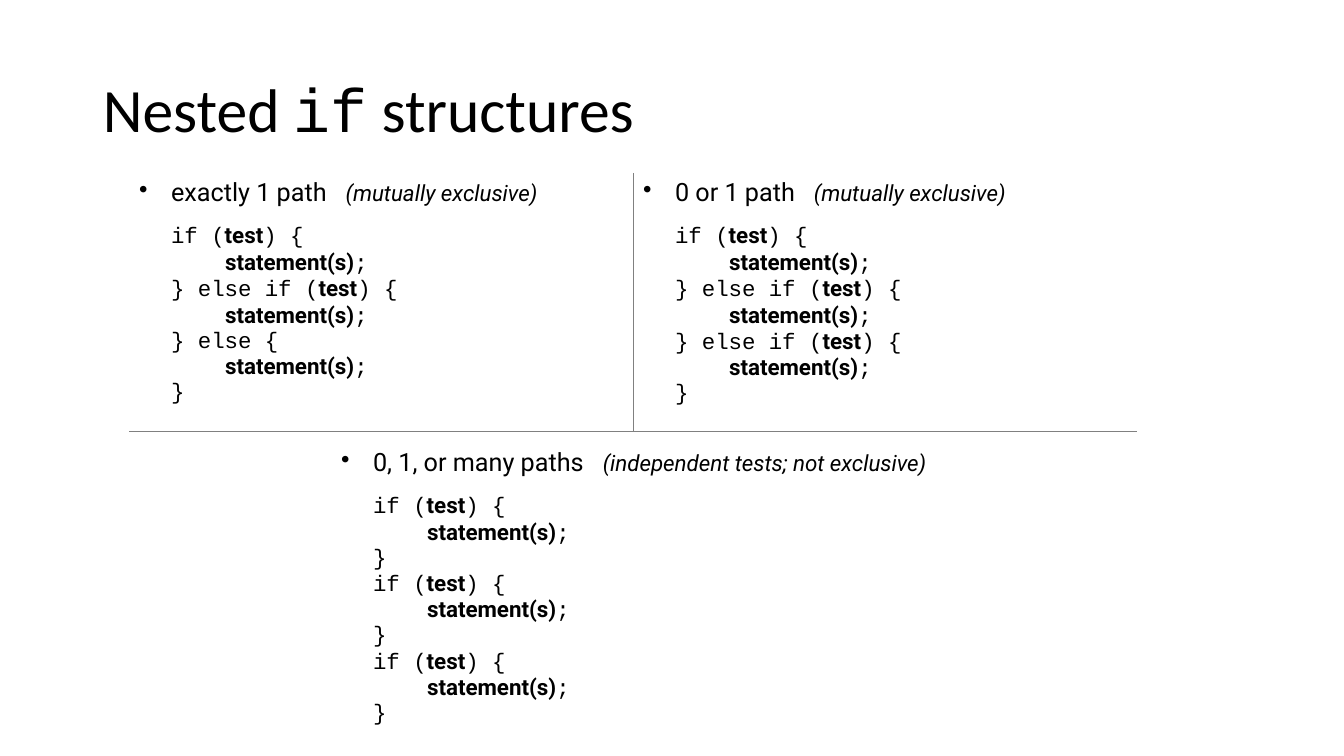
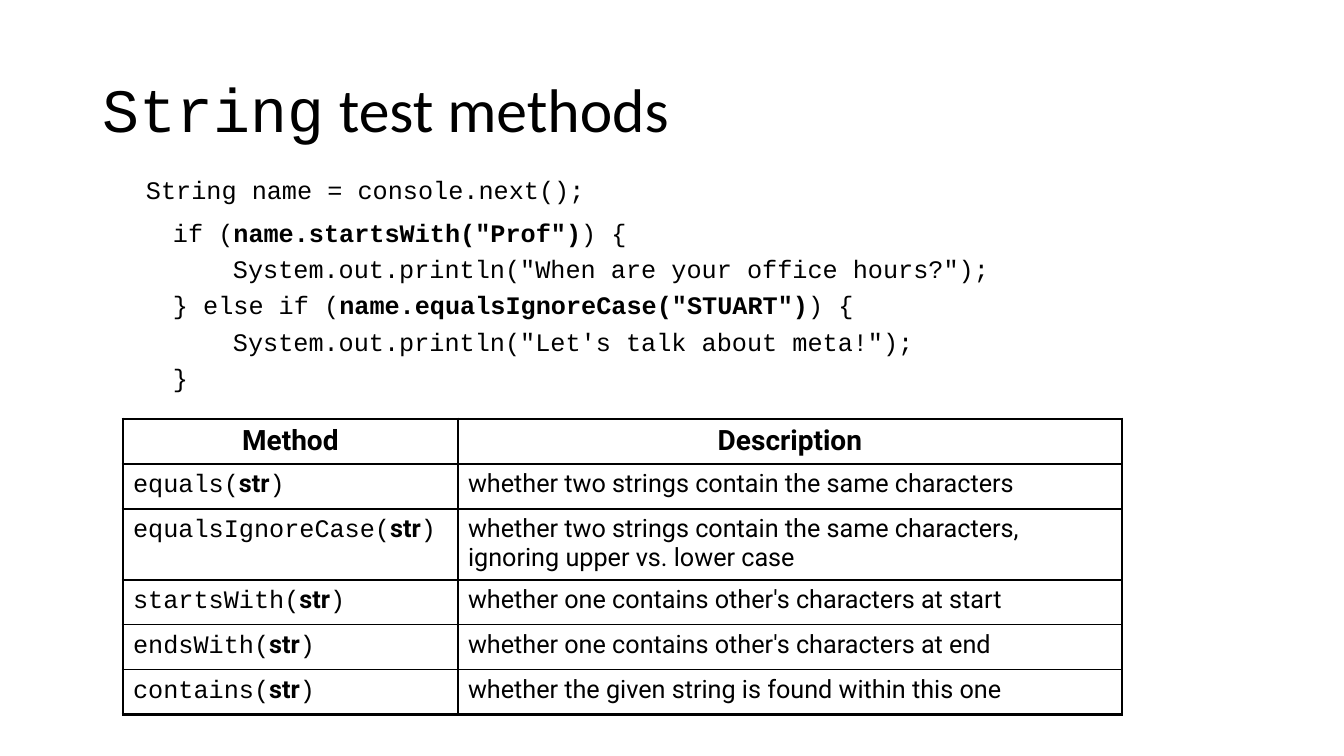
from dataclasses import dataclass
from typing import Optional

import pptx
import pptx.dml.color
import pptx.enum.text
import pptx.oxml
import pptx.oxml.ns
import pptx.util

PIXELS_PER_INCH = 100.8
COLOURS = {"paper": "FFFFFF", "ink": "000000", "rule": "808080"}
BODY, CODE, TITLE = "Roboto", "Courier New", "Calibri"
PLAIN_TABLE = "{2D5ABB26-0587-4C30-8999-92F81FD0307C}"
LEFT = pptx.enum.text.PP_ALIGN.LEFT
CENTER = pptx.enum.text.PP_ALIGN.CENTER
TOP = pptx.enum.text.MSO_ANCHOR.TOP
MIDDLE = pptx.enum.text.MSO_ANCHOR.MIDDLE


@dataclass(frozen=True)
class Span:
    text: str
    font: str = CODE
    size: int = 16
    bold: bool = False
    italic: bool = False
    tracking: float = 0


@dataclass(frozen=True)
class Para:
    spans: tuple[Span, ...]
    left: int = 0
    bullet_hang: int = 0
    before: float = 0
    spacing: float = 1.0
    align: pptx.enum.text.PP_ALIGN = LEFT


@dataclass(frozen=True)
class Frame:
    left: int
    top: int
    width: int
    height: int


@dataclass(frozen=True)
class Branch:
    heading: str
    note: str
    lines: tuple[str, ...]
    left: int
    row: int
    column: int
    top_inset: int
    sides: tuple[str, ...]


@dataclass(frozen=True)
class Method:
    name: str
    description: str


def emu(pixels: float) -> pptx.util.Emu:
    return pptx.util.Emu(round(pixels * 914400 / PIXELS_PER_INCH))


def rgb(name: str) -> pptx.dml.color.RGBColor:
    return pptx.dml.color.RGBColor.from_string(COLOURS[name])


def add_span(para, span: Span) -> None:
    run = para.add_run()
    run.text = span.text
    run.font.name = span.font
    run.font.size = pptx.util.Pt(span.size)
    run.font.bold = span.bold
    run.font.italic = span.italic
    run.font.color.rgb = rgb("ink")
    if span.tracking:
        run._r.get_or_add_rPr().set("spc", str(round(span.tracking * 100)))


def write(text_frame, paras: list[Para]) -> None:
    for index, item in enumerate(paras):
        para = text_frame.add_paragraph() if index else text_frame.paragraphs[0]
        para.alignment = item.align
        para.line_spacing = item.spacing
        para.space_before = pptx.util.Pt(item.before)
        properties = para._p.get_or_add_pPr()
        properties.set("marL", str(emu(item.left)))
        properties.set("indent", str(-emu(item.bullet_hang)))
        if item.bullet_hang:
            bullet = pptx.oxml.parse_xml(
                f'<a:buChar {pptx.oxml.ns.nsdecls("a")} char="•"/>')
            properties.append(bullet)
        for span in item.spans:
            add_span(para, span)


def add_text(page, frame: Frame, paras: list[Para], anchor) -> None:
    box = page.shapes.add_textbox(
        emu(frame.left), emu(frame.top), emu(frame.width), emu(frame.height))
    box.text_frame.word_wrap = True
    box.text_frame.vertical_anchor = anchor
    write(box.text_frame, paras)


def add_page(deck, title: tuple[Span, ...]):
    page = deck.slides.add_slide(deck.slide_layouts[6])
    page.background.fill.solid()
    page.background.fill.fore_color.rgb = rgb("paper")
    add_text(page, Frame(93, 40, 1159, 146), [Para(title, spacing=0.9)], MIDDLE)
    return page


def add_grid(page, left: int, top: int, columns: list[int], rows: list[int]):
    table = page.shapes.add_table(
        len(rows), len(columns), emu(left), emu(top),
        emu(sum(columns)), emu(sum(rows))).table
    table.first_row = False
    table.horz_banding = False
    style = table._tbl.tblPr.find(pptx.oxml.ns.qn("a:tableStyleId"))
    style.text = PLAIN_TABLE
    for column, width in zip(table.columns, columns):
        column.width = emu(width)
    for row, height in zip(table.rows, rows):
        row.height = emu(height)
    return table


def style_cell(cell, borders: dict[str, float], colour: str) -> None:
    properties = cell._tc.get_or_add_tcPr()
    for side in "LRTB":
        if side in borders:
            properties.append(pptx.oxml.parse_xml(
                f'<a:ln{side} {pptx.oxml.ns.nsdecls("a")} '
                f'w="{pptx.util.Pt(borders[side])}"><a:solidFill>'
                f'<a:srgbClr val="{COLOURS[colour]}"/></a:solidFill></a:ln{side}>'))
    cell.fill.background()


def branch_line(line: str) -> tuple[Span, ...]:
    if line == "statement(s);":
        return Span("statement(s)", BODY, bold=True), Span(";")
    before, test, after = line.partition("test")
    if not test:
        return (Span(line),)
    return Span(before), Span(test, BODY, bold=True), Span(after)


def branch_paras(branch: Branch) -> list[Para]:
    heading = (Span(branch.heading, BODY, 18),
               Span(" ", BODY, 18, tracking=9),
               Span(branch.note, BODY, 16, italic=True))
    paras = [Para(heading, branch.left, bullet_hang=32)]
    for index, line in enumerate(branch.lines):
        step = 54 if line.startswith("statement") else 0
        paras.append(Para(branch_line(line), branch.left + step,
                          before=3.2 if index else 13.5, spacing=0.8))
    return paras


def draw_nested_if(deck) -> None:
    page = add_page(deck, (Span("Nested ", TITLE, 44), Span("if", CODE, 44),
                           Span(" structures", TITLE, 44)))
    table = add_grid(page, 129, 173, [504, 504], [258, 311])
    table.cell(1, 0).merge(table.cell(1, 1))
    body = "statement(s);"
    first, other = "if (test) {", "} else if (test) {"
    branches = [
        Branch("exactly 1 path", "(mutually exclusive)",
               (first, body, other, body, "} else {", body, "}"),
               32, 0, 0, 5, ("R", "B")),
        Branch("0 or 1 path", "(mutually exclusive)",
               (first, body, other, body, other, body, "}"),
               32, 0, 1, 5, ("L", "B")),
        Branch("0, 1, or many paths", "(independent tests; not exclusive)",
               (first, body, "}") * 3, 234, 1, 0, 17, ("T",)),
    ]
    for branch in branches:
        cell = table.cell(branch.row, branch.column)
        cell.margin_top = emu(branch.top_inset)
        style_cell(cell, dict.fromkeys(branch.sides, 0.5), "rule")
        write(cell.text_frame, branch_paras(branch))


def draw_string_tests(deck) -> None:
    page = add_page(deck, (Span("String", CODE, 44),
                           Span(" test methods", TITLE, 44)))
    declaration, block, nested = 43, 70, 130
    lines = [
        (declaration, "String name = console.next();", "", ""),
        (block, "if (", 'name.startsWith("Prof")', ") {"),
        (nested, 'System.out.println("When are your office hours?");', "", ""),
        (block, "} else if (", 'name.equalsIgnoreCase("STUART")', ") {"),
        (nested, 'System.out.println("Let\'s talk about meta!");', "", ""),
        (block, "}", "", ""),
    ]
    paras = []
    for index, (left, before, test, after) in enumerate(lines):
        spans = (Span(before, size=18), Span(test, size=18, bold=True),
                 Span(after, size=18))
        paras.append(Para(tuple(span for span in spans if span.text), left,
                          before=5 if index < 2 else 0, spacing=1.2))
    add_text(page, Frame(93, 163, 1159, 480), paras, TOP)

    methods = [
        Method("equals", "whether two strings contain the same characters"),
        Method("equalsIgnoreCase", "whether two strings contain the same "
               "characters, ignoring upper vs. lower case"),
        Method("startsWith", "whether one contains other's characters at start"),
        Method("endsWith", "whether one contains other's characters at end"),
        Method("contains", "whether the given string is found within this one"),
    ]
    rows = [tuple(Para((Span(label, BODY, 20, bold=True),), align=CENTER)
                  for label in ("Method", "Description"))]
    for method in methods:
        call = (Span(method.name + "(", size=18),
                Span("str", BODY, 18, bold=True), Span(")", size=18))
        rows.append((Para(call), Para((Span(method.description, BODY, 18),))))
    table = add_grid(page, 123, 419, [335, 664], [45, 45, 71, 45, 45, 45])
    thick, thin = 2.25, 1
    for row, paras in enumerate(rows):
        for column, para in enumerate(paras):
            cell = table.cell(row, column)
            style_cell(cell, {
                "L": thin if column else thick,
                "R": thick if column else thin,
                "T": thin if row else thick,
                "B": thick if row == len(methods) else thin,
            }, "ink")
            write(cell.text_frame, [para])


def build() -> None:
    deck = pptx.Presentation()
    deck.slide_width = emu(1344)
    deck.slide_height = emu(756)
    draw_nested_if(deck)
    draw_string_tests(deck)
    deck.save("out.pptx")


build()
